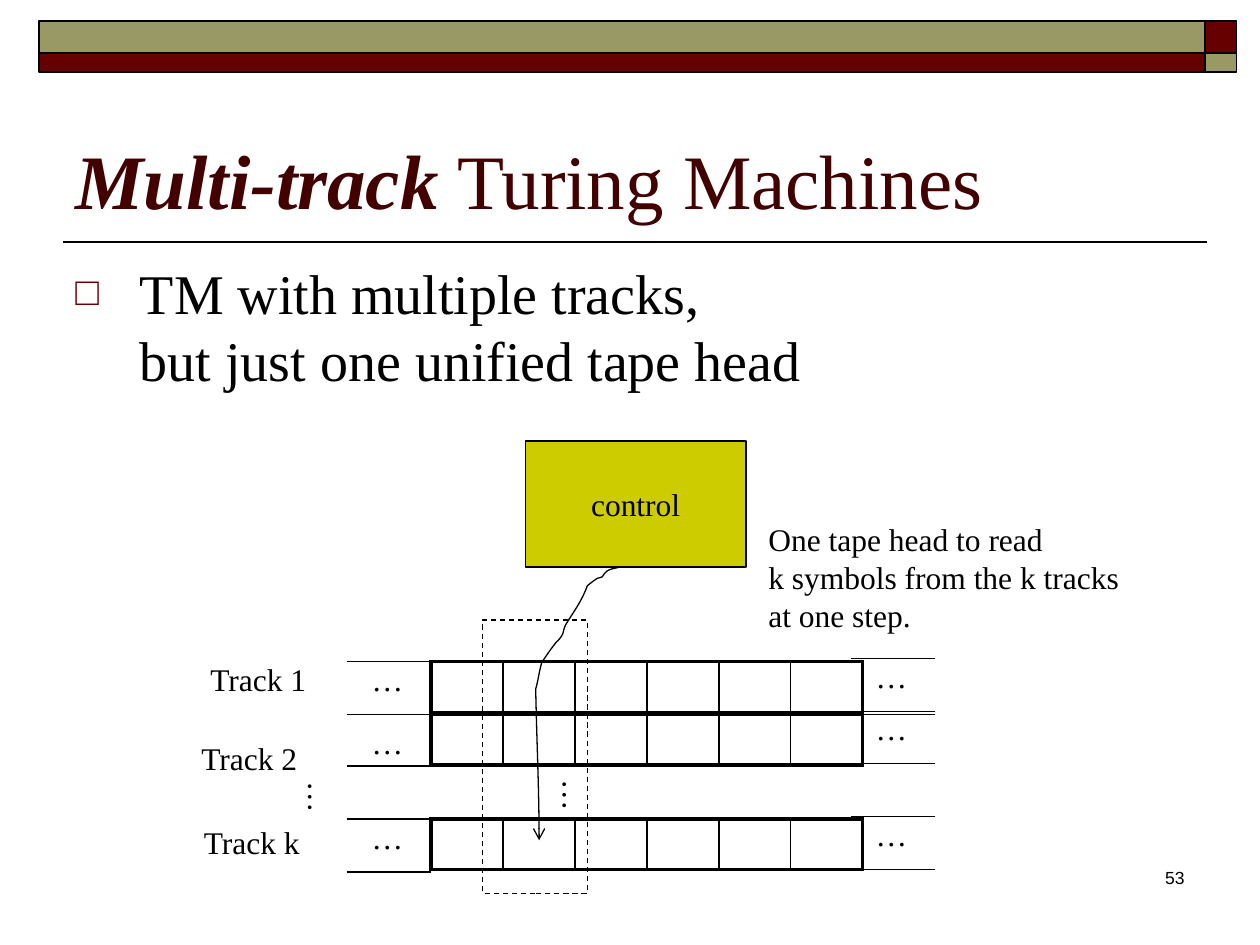
from dataclasses import dataclass
from lxml.etree import SubElement
from pptx import Presentation
from pptx.dml.color import RGBColor
from pptx.enum.dml import MSO_LINE
from pptx.enum.shapes import MSO_CONNECTOR, MSO_SHAPE
from pptx.enum.text import MSO_ANCHOR, PP_ALIGN
from pptx.oxml.ns import qn
from pptx.util import Cm, Pt


@dataclass(frozen=True)
class Theme:
    ink: str = "000000"
    title: str = "420000"
    wine: str = "660000"
    khaki: str = "999966"
    lime: str = "CCCC00"
    serif: str = "Times New Roman"
    sans: str = "Arial"
    head: int = 44
    body: int = 32
    note: int = 18
    small: int = 10
    thin: float = 0.75
    rule: float = 1
    bold: float = 2.25


class Deck:
    def __init__(self, theme, slide):
        self.theme = theme
        self.slide = slide
        self.shapes = slide.shapes

    def label(self, frame, runs, align=PP_ALIGN.LEFT, anchor=MSO_ANCHOR.TOP, **look):
        """Fill a frame with one paragraph of (text, format) runs."""
        frame.word_wrap = True
        frame.vertical_anchor = anchor
        para = frame.paragraphs[0]
        para.alignment = align
        base = {"name": self.theme.serif, "size": self.theme.note, "color": self.theme.ink}
        for text, extra in runs:
            for num, part in enumerate(text.split("\n")):
                if num:
                    para.add_line_break()
                run = para.add_run()
                run.text = part
                form = {**base, **look, **extra}
                run.font.color.rgb = RGBColor.from_string(form.pop("color"))
                form["size"] = Pt(form["size"])
                for key, val in form.items():
                    setattr(run.font, key, val)
        return para

    def text(self, runs, x, y, wide, high, turn=0, **look):
        box = self.shapes.add_textbox(Cm(x), Cm(y), Cm(wide), Cm(high))
        box.rotation = turn
        if isinstance(runs, str):
            runs = [(runs, {})]
        return self.label(box.text_frame, runs, **look)

    def bullet(self, para, sign, color, size, indent):
        props = para._p.get_or_add_pPr()
        props.set("marL", str(Cm(indent)))
        props.set("indent", str(-Cm(indent)))
        tint = SubElement(props, qn("a:buClr"))
        SubElement(tint, qn("a:srgbClr"), val=color)
        SubElement(props, qn("a:buSzPct"), val=str(size * 1000))
        SubElement(props, qn("a:buFont"), typeface=self.theme.sans)
        SubElement(props, qn("a:buChar"), char=sign)

    def stroke(self, line, width):
        line.color.rgb = RGBColor.from_string(self.theme.ink)
        line.width = Pt(width)

    def rect(self, x, y, wide, high, fill=None, width=None, dash=None):
        box = self.shapes.add_shape(MSO_SHAPE.RECTANGLE, Cm(x), Cm(y), Cm(wide), Cm(high))
        box.shadow.inherit = False
        if fill:
            box.fill.solid()
            box.fill.fore_color.rgb = RGBColor.from_string(fill)
        else:
            box.fill.background()
        self.stroke(box.line, width or self.theme.thin)
        if dash:
            box.line.dash_style = dash
        return box

    def line(self, x, y, end, width=None):
        """Draw a level line from x to end."""
        link = self.shapes.add_connector(MSO_CONNECTOR.STRAIGHT, Cm(x), Cm(y), Cm(end), Cm(y))
        self.stroke(link.line, width or self.theme.thin)
        SubElement(link._element.spPr, qn("a:effectLst"))

    def curve(self, start, points):
        """Draw an arrow of Bezier arcs, three points to each arc."""
        pen = self.shapes.build_freeform(Cm(start[0]), Cm(start[1]))
        pen.add_line_segments([(Cm(x), Cm(y)) for x, y in points], close=False)
        shape = pen.convert_to_shape()
        shape.shadow.inherit = False
        shape.fill.background()
        self.stroke(shape.line, self.theme.thin)
        SubElement(shape.line._get_or_add_ln(), qn("a:tailEnd"), type="arrow")
        track = next(shape._element.iter(qn("a:path")))
        steps = track.findall(qn("a:lnTo"))
        for num in range(0, len(steps), 3):
            arc = SubElement(track, qn("a:cubicBezTo"))
            for step in steps[num:num + 3]:
                arc.append(step[0])
                track.remove(step)

    def tape(self, x, y, cell, high, count):
        frame = self.shapes.add_table(1, count, Cm(x), Cm(y), Cm(cell * count), Cm(high))
        grid = frame.table
        grid.first_row = grid.horz_banding = False
        grid.rows[0].height = Cm(high)
        thick, fine = self.theme.bold, self.theme.rule
        for num in range(count):
            grid.columns[num].width = Cm(cell)
            box = grid.cell(0, num)
            box.margin_top = box.margin_bottom = 0
            box.fill.background()
            sides = {"L": fine if num else thick,
                     "R": fine if num < count - 1 else thick,
                     "T": thick, "B": thick}
            props = box._tc.get_or_add_tcPr()
            for spot, (side, width) in enumerate(sides.items()):
                edge = SubElement(props, qn("a:ln" + side), w=str(Pt(width)))
                fill = SubElement(edge, qn("a:solidFill"))
                SubElement(fill, qn("a:srgbClr"), val=self.theme.ink)
                props.insert(spot, edge)


def main():
    show = Presentation()
    show.slide_width, show.slide_height = Cm(25.4), Cm(19.05)
    look = Theme()
    deck = Deck(look, show.slides.add_slide(show.slide_layouts[6]))

    # Rule and top bands
    deck.line(24.33, 4.88, 1.27, look.rule)
    left, split, top, mid = 0.79, 24.29, 0.43, 1.07
    for x, y, wide, high, fill in (
        (split, top, 0.64, mid - top, look.wine),
        (left, top, split - left, mid - top, look.khaki),
        (left, mid, split - left, 0.38, look.wine),
        (split, mid, 0.64, 0.38, look.khaki),
    ):
        deck.rect(x, y, wide, high, fill, look.rule)

    # Title, body and page number
    deck.text([("Multi-track", {"bold": True, "italic": True}), (" Turing Machines", {})],
              1.27, 1.47, 22.86, 3.18, anchor=MSO_ANCHOR.BOTTOM,
              size=look.head, color=look.title)
    para = deck.text("TM with multiple tracks, \nbut just one unified tape head",
                     1.27, 5.08, 22.86, 11.94, size=look.body)
    para.space_before = Pt(6.4)
    deck.bullet(para, "□", look.wine, 70, 1.3)
    deck.text("53", 18.85, 17.35, 5.28, 1.27, align=PP_ALIGN.RIGHT,
              name=look.sans, size=look.small)

    # Control unit
    unit = deck.rect(10.59, 8.89, 4.45, 2.54, look.lime)
    deck.label(unit.text_frame, [("control", {})], PP_ALIGN.CENTER, MSO_ANCHOR.MIDDLE)

    # Tracks: name and its place, tape top, dots and edges at left and right
    tracks = (
        ("Track 1", 3.99, 13.18, 13.34, 13.18, 13.13, (13.34,), (13.28, 14.35)),
        ("Track 2", 3.81, 14.78, 14.4, 14.45, 14.17, (14.4, 15.44), (14.4, 15.39)),
        ("Track k", 3.86, 16.46, 16.51, 16.36, 16.31, (16.51, 17.58), (16.46, 17.53)),
    )
    for name, x, y, tape, dotl, dotr, lefts, rights in tracks:
        deck.tape(8.69, tape, 1.45, 1.02, 6)
        for start, dots, edges in ((6.99, dotl, lefts), (17.15, dotr, rights)):
            deck.text("…", start + 0.25, dots, 1.22, 1.09)
            for edge in edges:
                deck.line(start, edge, start + 1.7)
        deck.text(name, x, y, 2.87, 1.12)

    # Tape head
    deck.curve((12.5, 11.43), (
        (12.4, 11.46), (12.32, 11.46), (12.24, 11.51),
        (12.19, 11.53), (12.19, 11.58), (12.14, 11.63),
        (12.12, 11.66), (12.07, 11.63), (12.04, 11.66),
        (11.96, 11.71), (11.84, 11.81), (11.84, 11.81),
        (11.73, 12.12), (11.56, 12.34), (11.4, 12.6),
        (11.33, 12.78), (11.38, 12.75), (11.28, 12.88),
        (11.23, 12.93), (11.18, 12.98), (11.15, 13.03),
        (11.07, 13.13), (10.92, 13.36), (10.92, 13.36),
        (10.87, 13.54), (10.85, 13.72), (10.8, 13.89),
        (10.82, 14.91), (10.87, 15.93), (10.87, 16.94),
    ))
    deck.rect(9.73, 12.5, 2.11, 5.51, dash=MSO_LINE.DASH)

    # Note and upright dots
    deck.text("One tape head to read\nk symbols from the k tracks\nat one step.",
              15.24, 10.36, 9.12, 2.82)
    for x, y in ((5.82, 15.57), (10.95, 15.52)):
        deck.text("…", x, y, 1.22, 1.09, turn=90)

    show.save("out.pptx")


if __name__ == "__main__":
    main()
